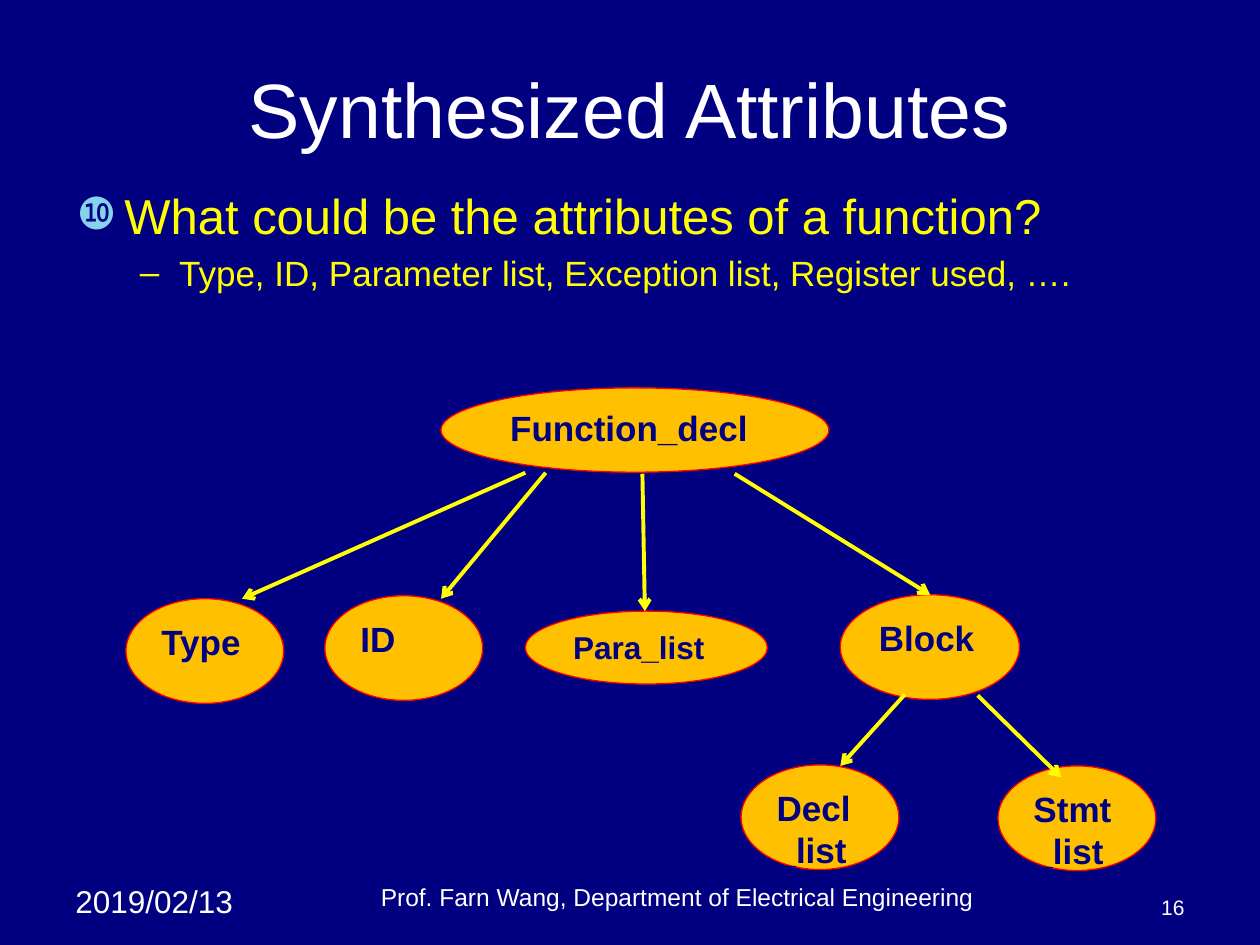
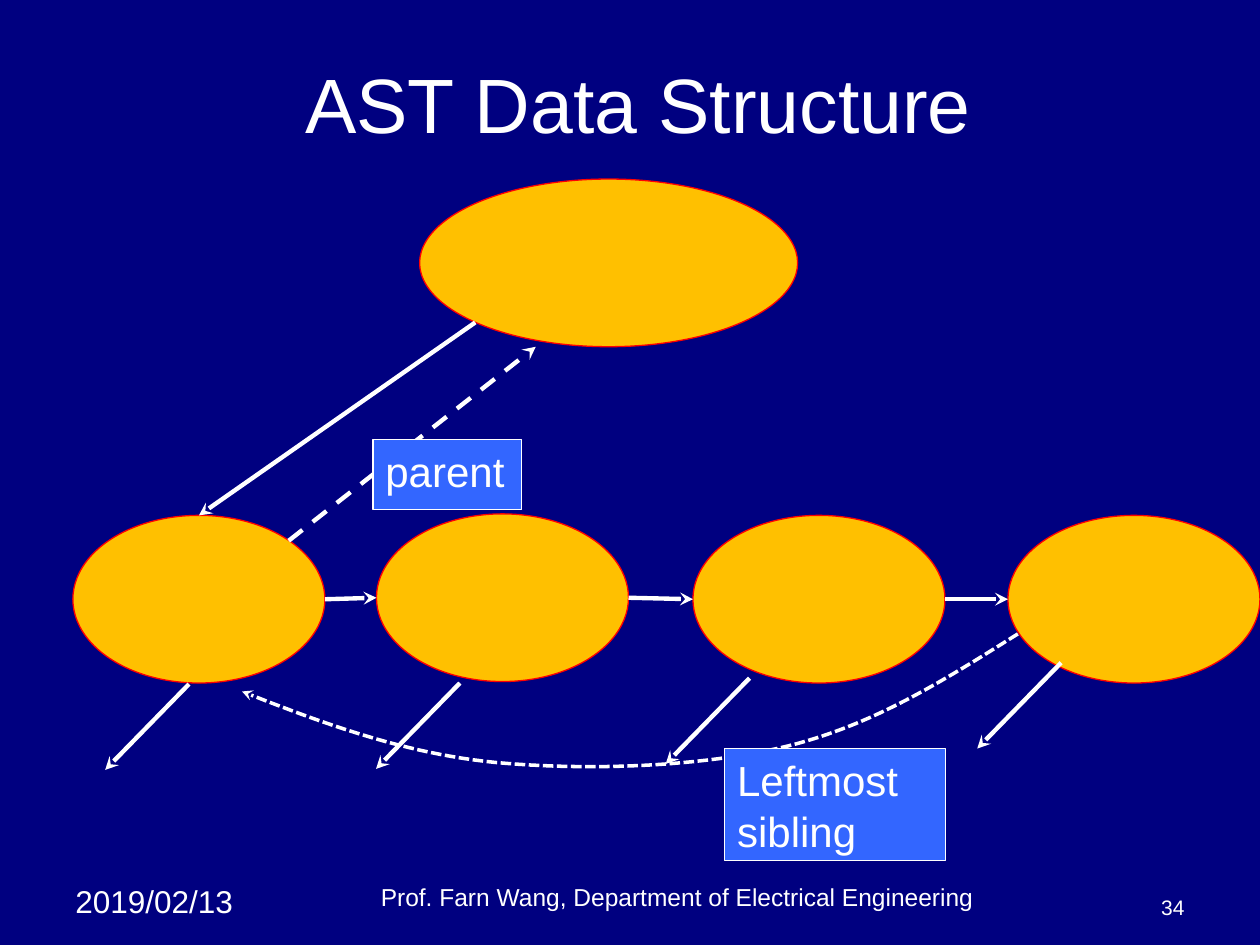
from pptx import Presentation
from pptx.dml.color import RGBColor
from pptx.enum.dml import MSO_LINE as Dash
from pptx.enum.shapes import MSO_CONNECTOR, MSO_SHAPE as Kind
from pptx.enum.text import MSO_ANCHOR as Anchor, PP_ALIGN as Align
from pptx.oxml.ns import qn
from pptx.util import Cm, Pt
from lxml.etree import SubElement as Sub

FONT = "Arial"
NAVY, WHITE, YELLOW = "000080", "FFFFFF", "FFFF00"
GOLD, RED, BLUE, SKY = "FFC000", "FF0000", "3366FF", "86D1EC"

DATE = "2019/02/13"
CREDIT = "Prof. Farn Wang, Department of Electrical Engineering"

# text, size, left indent, hanging, space before, bullet, bullet colour, bullet percent
BODY = [
    ("What could be the attributes of a function?", 28, 0.96, 0.96, 5.6, "❿", SKY, 90),
    ("Type, ID, Parameter list, Exception list, Register used, ….",
     20, 2.06, 0.79, 4, "–", YELLOW, 100),
]
# text, size, (left, top, width, height)
TREE = [
    ("Function_decl", 20, (8.89, 7.82, 7.82, 1.7)),
    ("Type", 20, (2.54, 12.07, 3.18, 2.11)),
    ("ID", 20, (6.55, 12.01, 3.18, 2.11)),
    ("Para_list", 18, (10.59, 12.32, 4.88, 1.47)),
    ("Block", 20, (16.94, 11.99, 3.61, 2.11)),
    ("Decl_list", 20, (14.94, 15.42, 3.18, 2.11)),
    ("Stmt_list", 20, (20.12, 15.44, 3.18, 2.11)),
]
EDGES = [
    ((10.59, 9.53), (4.88, 12.07)),
    ((11, 9.53), (8.89, 12.07)),
    ((12.95, 9.55), (13, 12.32)),
    ((14.81, 9.55), (18.75, 11.99)),
    ((18.24, 14), (16.94, 15.44)),
    ((19.71, 14.02), (21.39, 15.67)),
]

ROOT = (8.46, 3.61, 7.62, 3.38)
KID_W, KID_H = 5.08, 3.38
KIDS = [(1.47, 10.39), (7.59, 10.36), (13.97, 10.39), (20.32, 10.39)]
STEMS = [(3.81, 13.79), (9.27, 13.77), (15.11, 13.67), (21.39, 13.36)]
STEM_DX, STEM_DY = -1.69, 1.73
FIRST = ((9.58, 6.5), (4.01, 10.39))
PARENT = ((5.82, 10.9), (10.8, 6.99))
# cubic curve: a start, then two handles and an end for each part
LEFTMOST = [
    (20.52, 12.78), (19.07, 13.69), (17.63, 14.61), (15.88, 15.04),
    (14.12, 15.47), (11.81, 15.54), (9.98, 15.37),
    (8.15, 15.19), (6.5, 14.58), (4.88, 13.94),
]
LABELS = [
    ("parent", (7.52, 8.86, 3, 1.42)),
    ("Leftmost\nsibling", (14.61, 15.09, 4.45, 2.26)),
]


def rgb(code):
    return RGBColor.from_string(code)


def style(par, size, color, bold=False):
    for run in par.runs:
        font = run.font
        font.name, font.size, font.bold = FONT, Pt(size), bold
        font.color.rgb = rgb(color)


def write(frame, text, size, color, align=Align.LEFT, anchor=Anchor.TOP, bold=False):
    frame.word_wrap = True
    frame.vertical_anchor = anchor
    frame.text = text
    for par in frame.paragraphs:
        par.alignment = align
        style(par, size, color, bold)


def label(slide, box, *args):
    """Add a plain text box."""
    write(slide.shapes.add_textbox(*map(Cm, box)).text_frame, *args)


def block(slide, kind, box, fill, edge):
    shape = slide.shapes.add_shape(kind, *map(Cm, box))
    shape.shadow.inherit = False
    shape.fill.solid()
    shape.fill.fore_color.rgb = rgb(fill)
    shape.line.color.rgb = rgb(edge)
    shape.line.width = Pt(0.75)
    return shape


def oval(slide, box):
    return block(slide, Kind.OVAL, box, GOLD, RED)


def stroke(shape, color, width, head, dash=None):
    """Style a line and put an arrowhead at its end."""
    line = shape.line
    line.color.rgb = rgb(color)
    line.width = Pt(width)
    if dash:
        line.dash_style = dash
    Sub(line._get_or_add_ln(), qn("a:tailEnd"), type=head)


def arrow(slide, start, end, *look):
    link = slide.shapes.add_connector(MSO_CONNECTOR.STRAIGHT, *map(Cm, start + end))
    stroke(link, *look)
    Sub(link._element.spPr, qn("a:effectLst"))


def trace(knots, steps=24):
    """Return points along a chain of cubic curves."""
    dots = [knots[0]]
    for i in range(0, len(knots) - 1, 3):
        part = knots[i:i + 4]
        for n in range(1, steps + 1):
            t = n / steps
            rates = ((1 - t) ** 3, 3 * t * (1 - t) ** 2, 3 * t * t * (1 - t), t ** 3)
            dots.append(tuple(sum(r * p[axis] for r, p in zip(rates, part))
                              for axis in (0, 1)))
    return dots


def curve(slide, knots, *look):
    start, *rest = [(Cm(x), Cm(y)) for x, y in trace(knots)]
    pen = slide.shapes.build_freeform(*start)
    pen.add_line_segments(rest, close=False)
    shape = pen.convert_to_shape()
    shape.shadow.inherit = False
    shape.fill.background()
    stroke(shape, *look)


def bullet(par, left, hang, mark, color, scale):
    props = par._p.get_or_add_pPr()
    props.set("marL", str(Cm(left)))
    props.set("indent", str(-Cm(hang)))
    Sub(Sub(props, qn("a:buClr")), qn("a:srgbClr"), val=color)
    Sub(props, qn("a:buSzPct"), val=str(scale * 1000))
    Sub(props, qn("a:buFont"), typeface=FONT)
    Sub(props, qn("a:buChar"), char=mark)


def base(deck, title, height, page):
    """Add a slide with the shared ground, title and footer."""
    slide = deck.slides.add_slide(deck.slide_layouts[6])
    ground = slide.background.fill
    ground.solid()
    ground.fore_color.rgb = rgb(NAVY)
    label(slide, (1.27, 0.76, 22.86, height), title, 44, WHITE, Align.CENTER, Anchor.MIDDLE)
    label(slide, (1.27, 17.65, 4.01, 1.02), DATE, 18, WHITE)
    label(slide, (5.08, 17.65, 17.15, 0.84), CREDIT, 14, WHITE, Align.CENTER, Anchor.BOTTOM)
    label(slide, (18.21, 17.98, 5.92, 0.69), page, 12, WHITE, Align.RIGHT, Anchor.BOTTOM)
    return slide


def tree(deck):
    slide = base(deck, "Synthesized Attributes", 2.82, "16")
    frame = slide.shapes.add_textbox(*map(Cm, (1.3, 3.61, 22.86, 3.12))).text_frame
    frame.word_wrap = True
    frame.text = "\n".join(row[0] for row in BODY)
    for par, row in zip(frame.paragraphs, BODY):
        _, size, left, hang, gap, mark, color, scale = row
        par.space_before = Pt(gap)
        style(par, size, YELLOW)
        bullet(par, left, hang, mark, color, scale)
    for text, size, box in TREE:
        write(oval(slide, box).text_frame, text, size, NAVY, bold=True)
    for start, end in EDGES:
        arrow(slide, start, end, YELLOW, 2.25, "arrow")


def links(deck):
    slide = base(deck, " AST Data Structure", 2.62, "34")
    look = (WHITE, 2.5, "stealth")
    oval(slide, ROOT)
    for x, y in KIDS:
        oval(slide, (x, y, KID_W, KID_H))
    for (x, y), (next_x, next_y) in zip(KIDS, KIDS[1:]):
        arrow(slide, (x + KID_W, y + KID_H / 2), (next_x, next_y + KID_H / 2), *look)
    for x, y in STEMS:
        arrow(slide, (x, y), (x + STEM_DX, y + STEM_DY), *look)
    arrow(slide, *FIRST, *look)
    arrow(slide, *PARENT, *look, Dash.DASH)
    curve(slide, LEFTMOST, WHITE, 2, "stealth", Dash.SQUARE_DOT)
    for text, box in LABELS:
        write(block(slide, Kind.RECTANGLE, box, BLUE, WHITE).text_frame, text, 24, WHITE)


def main():
    deck = Presentation()
    deck.slide_width, deck.slide_height = Cm(25.4), Cm(19.05)
    tree(deck)
    links(deck)
    deck.save("out.pptx")


if __name__ == "__main__":
    main()
